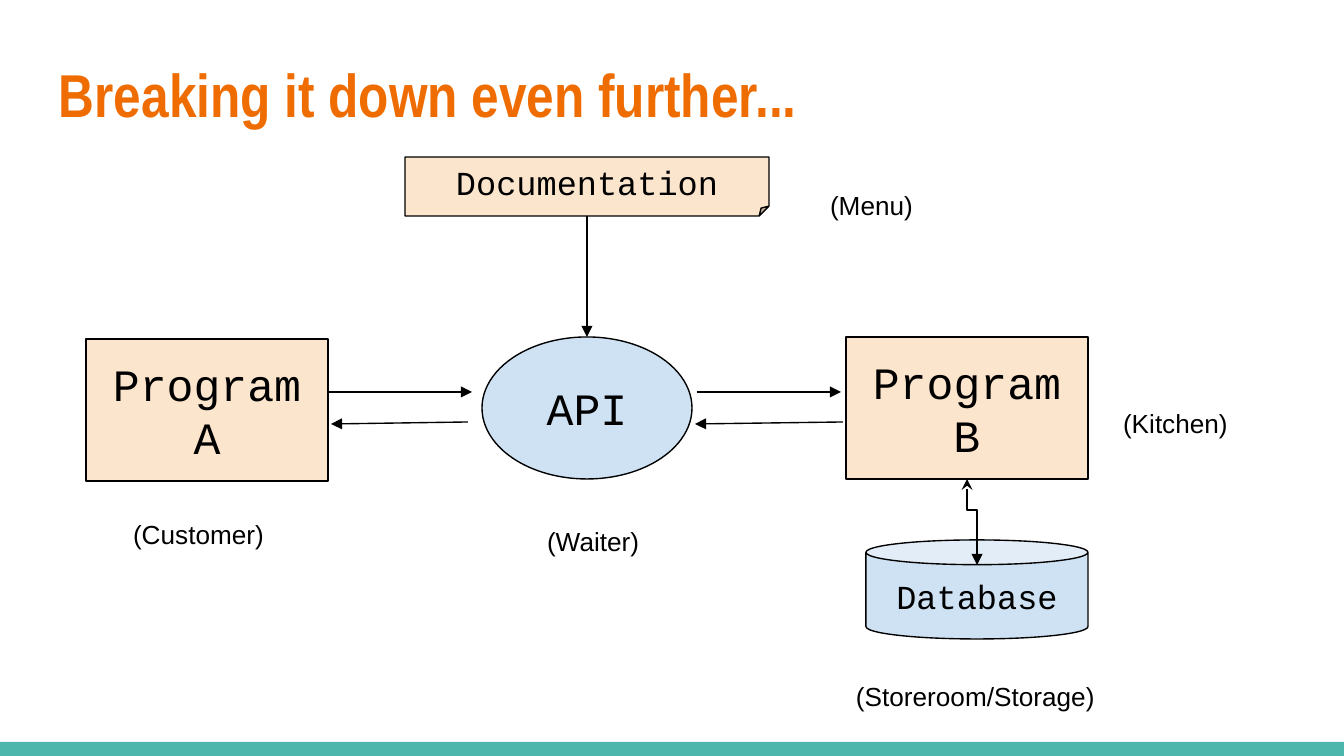
from dataclasses import dataclass

from lxml import etree
from pptx import Presentation
from pptx.dml.color import RGBColor
from pptx.enum.shapes import MSO_CONNECTOR, MSO_SHAPE
from pptx.enum.text import MSO_ANCHOR, MSO_AUTO_SIZE, PP_ALIGN
from pptx.oxml.ns import qn
from pptx.util import Emu, Pt

RECT, ELLIPSE = MSO_SHAPE.RECTANGLE, MSO_SHAPE.OVAL
NOTE, CAN = MSO_SHAPE.FOLDED_CORNER, MSO_SHAPE.CAN
STRAIGHT, ELBOW = MSO_CONNECTOR.STRAIGHT, MSO_CONNECTOR.ELBOW
TOP, MIDDLE = MSO_ANCHOR.TOP, MSO_ANCHOR.MIDDLE
LEFT, CENTER = PP_ALIGN.LEFT, PP_ALIGN.CENTER
TOP_SITE, BOTTOM_SITE = 0, 2


@dataclass(frozen=True)
class Theme:
    orange: str = "EF6C00"
    teal: str = "4DB6AC"
    peach: str = "FCE5CD"
    blue: str = "CFE2F3"
    ink: str = "000000"
    heading_font: str = "Arial Narrow"
    node_font: str = "Courier New"
    label_font: str = "Arial"
    heading_size: float = 32.4
    large: int = 24
    medium: int = 18
    small: int = 14
    stroke: float = 0.75


THEME = Theme()

# Content; all lengths in px
SLIDE_SIZE = (1344, 756)
INSET = 13
TITLE = ("Breaking it down even further...", (46, 42, 1253, 103))
FOOTER_BAR = (0, 742, 1344, 14)

NODES = [  # text, shape, box, fill, type size
    ("Program A", RECT, (86, 339, 242, 142), THEME.peach, THEME.large),
    ("API", ELLIPSE, (482, 337, 210, 142), THEME.blue, THEME.large),
    ("Program B", RECT, (846, 337, 242, 142), THEME.peach, THEME.large),
    ("Documentation", NOTE, (405, 157, 364, 59), THEME.peach, THEME.medium),
    ("Database", CAN, (866, 540, 222, 99), THEME.blue, THEME.medium),
]

ROLES = [  # text, left, top, width
    ("(Customer)", 120, 505, 181),
    ("(Waiter)", 534, 512, 144),
    ("(Menu)", 817, 176, 148),
    ("(Kitchen)", 1110, 394, 148),
    ("(Storeroom/Storage)", 843, 667, 327),
]
ROLE_HEIGHT = 59

MESSAGES = [  # start, end
    ((328, 392), (472, 392)),
    ((697, 392), (841, 392)),
    ((843, 422), (695, 424)),
    ((468, 422), (331, 424)),
]
STORAGE_LINK = ((967, 479), (977, 565))
STORAGE_BEND = 0.36


def px(length):
    return Emu(round(length * 914400 / 134.4))


def write(shape, text, font, size, color, anchor=TOP, align=LEFT):
    frame = shape.text_frame
    frame.word_wrap = True
    frame.vertical_anchor = anchor
    frame.margin_left = frame.margin_right = px(INSET)
    frame.margin_top = frame.margin_bottom = px(INSET)
    paragraph = frame.paragraphs[0]
    paragraph.text = text
    paragraph.alignment = align
    paragraph.font.name = font
    paragraph.font.size = Pt(size)
    paragraph.font.color.rgb = RGBColor.from_string(color)
    return paragraph


def add_filled(shapes, kind, box, fill):
    shape = shapes.add_shape(kind, *map(px, box))
    shape.shadow.inherit = False
    shape.fill.solid()
    shape.fill.fore_color.rgb = RGBColor.from_string(fill)
    return shape


def add_text(shapes, box, *style, **options):
    textbox = shapes.add_textbox(*map(px, box))
    return textbox, write(textbox, *style, **options)


def outline(line):
    line.color.rgb = RGBColor.from_string(THEME.ink)
    line.width = Pt(THEME.stroke)


def add_arrow(shapes, start, end, kind=STRAIGHT, head=None):
    arrow = shapes.add_connector(kind, *map(px, (*start, *end)))
    outline(arrow.line)
    properties = arrow.element.spPr
    stroke = properties.find(qn("a:ln"))
    if head:
        etree.SubElement(stroke, qn("a:headEnd"), type=head)
    etree.SubElement(stroke, qn("a:tailEnd"), type="triangle")
    etree.SubElement(properties, qn("a:effectLst"))
    return arrow


def add_vertical_elbow(shapes, start, end, bend, head):
    # A quarter turn makes the elbow leave and arrive vertically
    (x1, y1), (x2, y2) = start, end
    mid_x, mid_y = (x1 + x2) / 2, (y1 + y2) / 2
    half_run, half_step = (y2 - y1) / 2, (x2 - x1) / 2
    elbow = add_arrow(shapes, (mid_x + half_run, mid_y - half_step),
                      (mid_x - half_run, mid_y + half_step), ELBOW, head)
    properties = elbow.element.spPr
    properties.find(qn("a:xfrm")).set("rot", str(270 * 60000))
    geometry = properties.find(qn("a:prstGeom"))
    adjustments = geometry.find(qn("a:avLst"))
    if adjustments is None:
        adjustments = etree.SubElement(geometry, qn("a:avLst"))
    etree.SubElement(adjustments, qn("a:gd"), name="adj1",
                     fmla=f"val {round(bend * 100000)}")


def main():
    deck = Presentation()
    deck.slide_width, deck.slide_height = map(px, SLIDE_SIZE)
    shapes = deck.slides.add_slide(deck.slide_layouts[6]).shapes

    # Footer bar and title
    add_filled(shapes, RECT, FOOTER_BAR, THEME.teal).line.fill.background()
    title, title_box = TITLE
    _, heading = add_text(shapes, title_box, title, THEME.heading_font,
                          THEME.heading_size, THEME.orange, anchor=MIDDLE)
    heading.font.bold = True

    # Programs, API, documentation and database
    nodes = {}
    for text, kind, box, fill, size in NODES:
        node = add_filled(shapes, kind, box, fill)
        outline(node.line)
        write(node, text, THEME.node_font, size, THEME.ink, MIDDLE, CENTER)
        nodes[text] = node

    # Arrows
    for start, end in MESSAGES:
        add_arrow(shapes, start, end)
    reference = add_arrow(shapes, (587, 216), (587, 337))
    reference.begin_connect(nodes["Documentation"], BOTTOM_SITE)
    reference.end_connect(nodes["API"], TOP_SITE)
    add_vertical_elbow(shapes, *STORAGE_LINK, STORAGE_BEND, "stealth")

    # Restaurant roles
    for text, left, top, width in ROLES:
        role, _ = add_text(shapes, (left, top, width, ROLE_HEIGHT), text,
                           THEME.label_font, THEME.small, THEME.ink)
        role.text_frame.auto_size = MSO_AUTO_SIZE.SHAPE_TO_FIT_TEXT

    deck.save("out.pptx")


if __name__ == "__main__":
    main()
